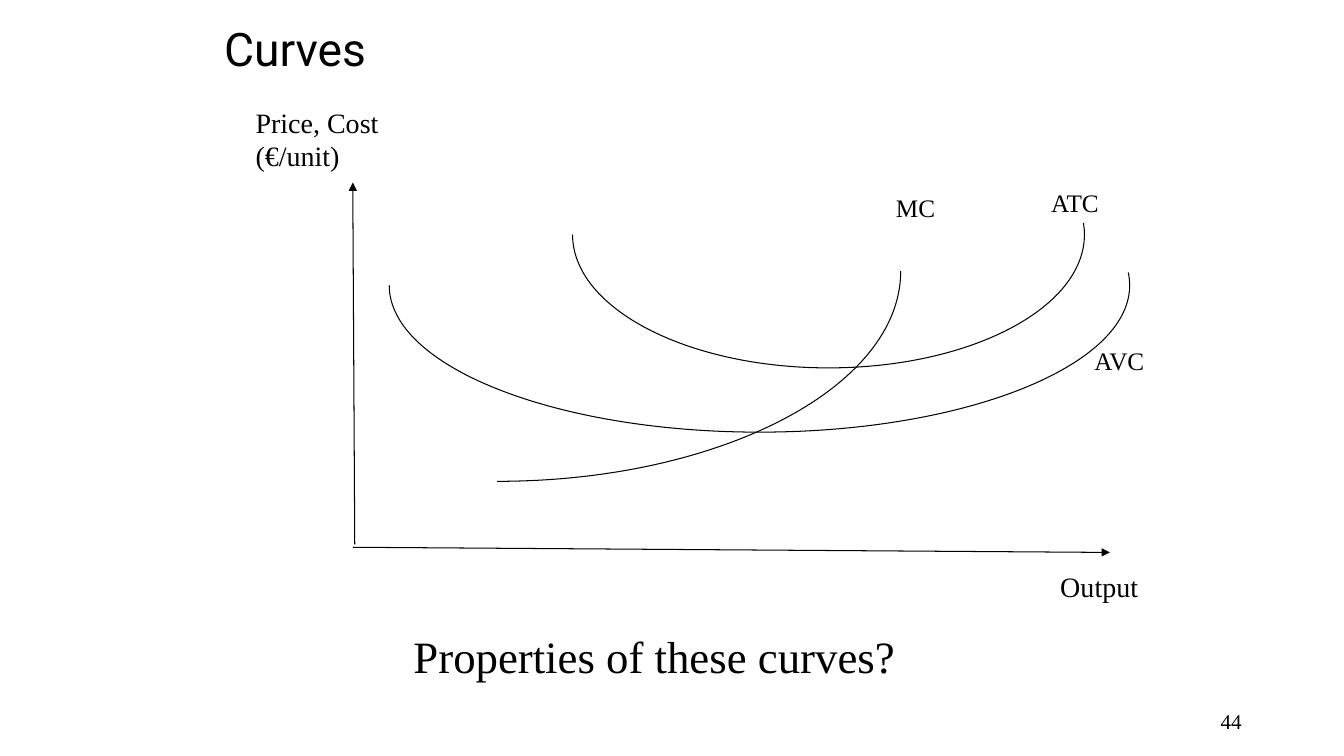
import dataclasses
import itertools
import math

import pptx
import pptx.dml.color
import pptx.enum.shapes
import pptx.enum.text
import pptx.oxml
import pptx.oxml.ns
import pptx.util

Cm = pptx.util.Cm
Pt = pptx.util.Pt
Anchor = pptx.enum.text.MSO_ANCHOR
Align = pptx.enum.text.PP_ALIGN
AutoSize = pptx.enum.text.MSO_AUTO_SIZE


@dataclasses.dataclass(frozen=True)
class Theme:
    ink: pptx.dml.color.RGBColor = pptx.dml.color.RGBColor(0, 0, 0)
    heading_font: str = "Roboto"
    body_font: str = "Times New Roman"
    title: int = 33
    question: int = 32
    axis: int = 20
    curve: int = 18
    number: int = 15
    line: float = 0.75


THEME = Theme()


def apply_format(target, values):
    for name, value in values.items():
        setattr(target, name, value)


def drawing_element(tag, attributes=""):
    return pptx.oxml.parse_xml(f'<a:{tag} {pptx.oxml.ns.nsdecls("a")} {attributes}/>')


def add_text(slide, lines, box, size, font=THEME.body_font, frame_format=None, paragraph_format=None):
    shape = slide.shapes.add_textbox(*map(Cm, box))
    frame = shape.text_frame
    frame.text = "\n".join(lines)
    defaults = {"word_wrap": True, "auto_size": AutoSize.SHAPE_TO_FIT_TEXT}
    apply_format(frame, defaults | (frame_format or {}))
    for paragraph in frame.paragraphs:
        apply_format(paragraph, paragraph_format or {})
        apply_format(paragraph.font, {"name": font, "size": Pt(size)})
        paragraph.font.color.rgb = THEME.ink


def style_line(line):
    line.color.rgb = THEME.ink
    line.width = Pt(THEME.line)


def add_axis(slide, start, end):
    connector = slide.shapes.add_connector(
        pptx.enum.shapes.MSO_CONNECTOR.STRAIGHT, *map(Cm, start + end))
    style_line(connector.line)
    connector.line._get_or_add_ln().append(drawing_element("tailEnd", 'type="triangle"'))
    connector._element.spPr.append(drawing_element("effectLst"))


def ellipse_point(centre, radii, angle, reach=0):
    across = math.cos(angle) - reach * math.sin(angle)
    down = math.sin(angle) + reach * math.cos(angle)
    return Cm(centre[0] + radii[0] * across), Cm(centre[1] + radii[1] * down)


def bezier_points(centre, radii, degrees):
    points = [ellipse_point(centre, radii, math.radians(degrees[0]))]
    for first, last in itertools.pairwise(map(math.radians, degrees)):
        reach = 4 / 3 * math.tan((last - first) / 4)
        points += [ellipse_point(centre, radii, first, reach),
                   ellipse_point(centre, radii, last, -reach),
                   ellipse_point(centre, radii, last)]
    return points


def round_segments(shape):
    outline = shape._element.xpath(".//a:path")[0]
    segments = outline.xpath("./a:lnTo")
    for index in range(0, len(segments), 3):
        bezier = drawing_element("cubicBezTo")
        outline.append(bezier)
        for segment in segments[index:index + 3]:
            bezier.append(segment[0])
            outline.remove(segment)


def add_curve(slide, centre, radii, degrees):
    points = bezier_points(centre, radii, degrees)
    builder = slide.shapes.build_freeform(*points[0])
    builder.add_line_segments(points[1:], close=False)
    shape = builder.convert_to_shape()
    round_segments(shape)
    shape.shadow.inherit = False
    shape.fill.background()
    style_line(shape.line)


def main():
    presentation = pptx.Presentation()
    apply_format(presentation, {"slide_width": Cm(33.87), "slide_height": Cm(19.05)})
    slide = presentation.slides.add_slide(presentation.slide_layouts[6])

    fixed = {"auto_size": AutoSize.NONE, "vertical_anchor": Anchor.MIDDLE}
    unwrapped = {"word_wrap": False}
    add_text(slide, ["Curves"], (5.4, -0.28, 23.06, 3.18), THEME.title,
             THEME.heading_font, fixed, {"line_spacing": 0.9})
    add_text(slide, ["44"], (25.82, 17.65, 5.72, 1.02), THEME.number,
             frame_format=fixed, paragraph_format={"alignment": Align.RIGHT})

    add_axis(slide, (8.94, 13.72), (8.89, 4.6))
    add_axis(slide, (8.89, 13.79), (27.97, 13.92))
    add_text(slide, ["Output"], (26.47, 14.22, 2.6, 1.09), THEME.axis, frame_format=unwrapped)
    add_text(slide, ["Price, Cost", "(€/unit)"], (6.19, 2.53, 3.61, 1.96), THEME.axis,
             frame_format=unwrapped)

    bowl = (-5, 0, 90, 180)
    curves = [
        ("MC", (22.33, 4.72, 1.5, 1.02), (12.52, 6.83), (10.18, 5.3), (0, 90)),
        ("ATC", (26.24, 4.6, 2.24, 1.02), (20.88, 5.91), (6.45, 3.36), bowl),
        ("AVC", (27.33, 8.57, 1.93, 1.02), (19.14, 7.19), (9.33, 3.7), bowl),
    ]
    for label, label_box, centre, radii, degrees in curves:
        add_curve(slide, centre, radii, degrees)
        add_text(slide, [label], label_box, THEME.curve)

    add_text(slide, ["Properties of these curves?"], (10.17, 15.72, 13.77, 1.6), THEME.question)
    presentation.save("out.pptx")


if __name__ == "__main__":
    main()
